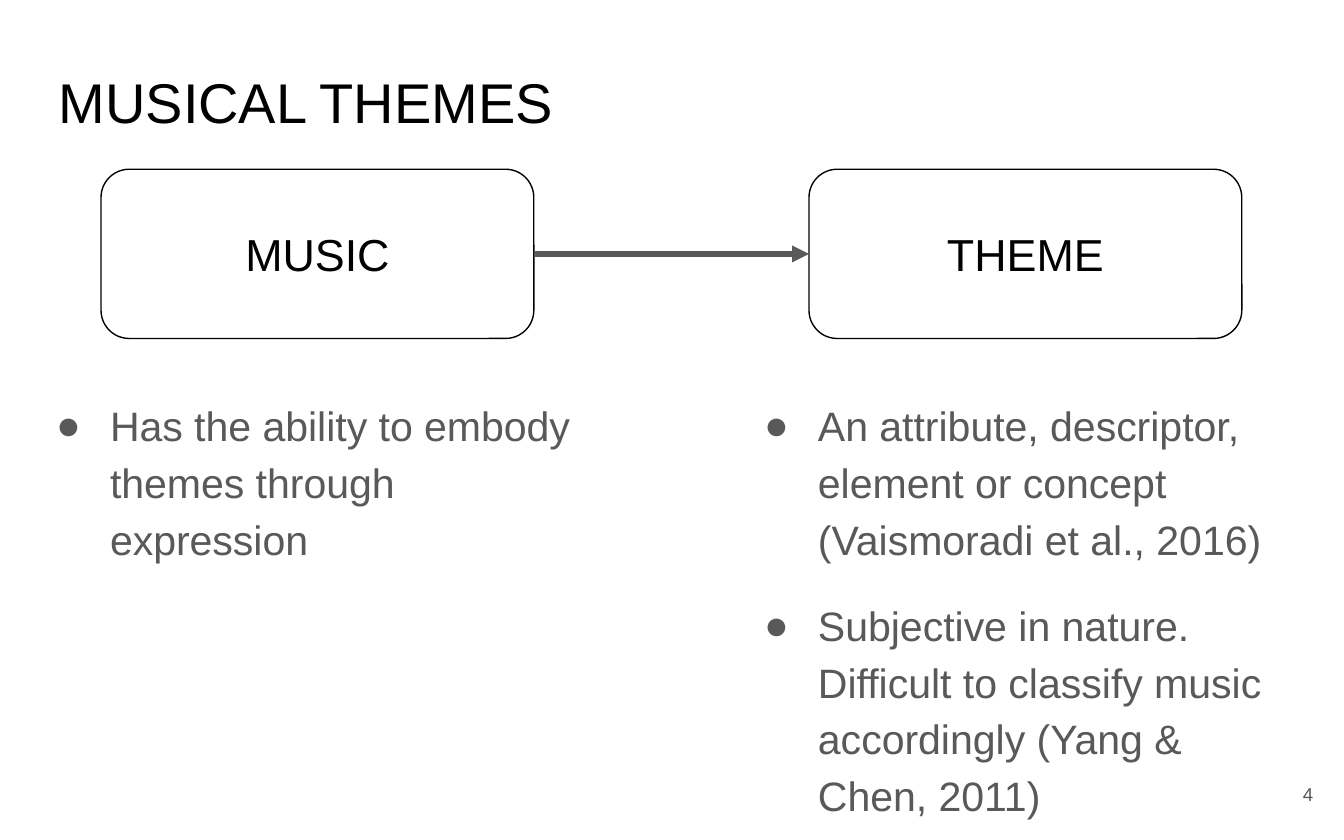
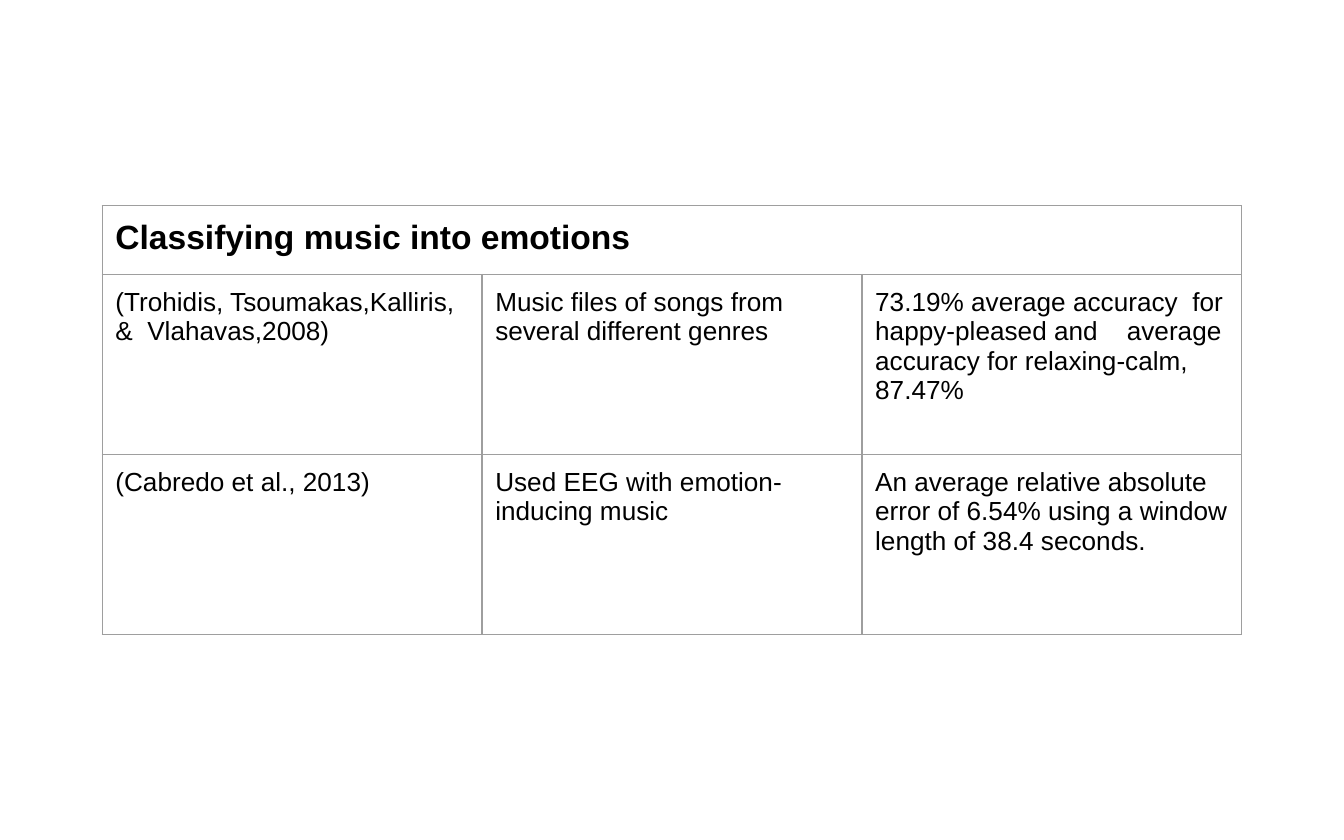
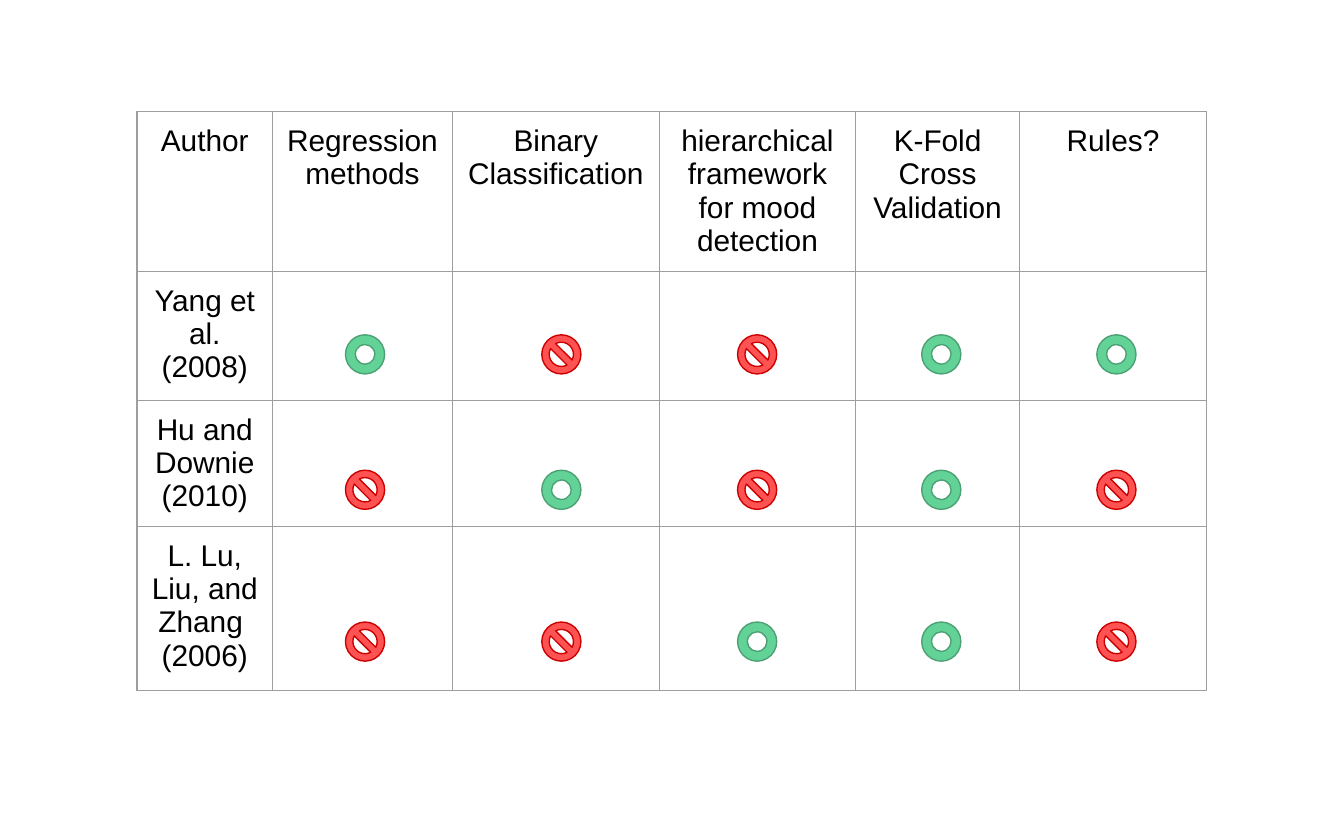
from lxml import etree
from pptx import Presentation
from pptx.dml.color import RGBColor
from pptx.enum.shapes import MSO_CONNECTOR, MSO_SHAPE
from pptx.enum.text import MSO_ANCHOR, MSO_AUTO_SIZE, PP_ALIGN
from pptx.oxml.ns import qn
from pptx.util import Cm, Pt

BLACK = RGBColor(0x00, 0x00, 0x00)
GREY = RGBColor(0x59, 0x59, 0x59)
GRID = RGBColor(0x9E, 0x9E, 0x9E)
GREEN = RGBColor(0x63, 0xD2, 0x97)
DARK_GREEN = RGBColor(0x4B, 0xA1, 0x73)
RED = RGBColor(0xFF, 0x52, 0x52)
DARK_RED = RGBColor(0xCC, 0x00, 0x00)

FONT = "Arial"
INSET = Cm(0.25)
THIN = Pt(0.75)
LEFT, CENTER, RIGHT = PP_ALIGN.LEFT, PP_ALIGN.CENTER, PP_ALIGN.RIGHT
TOP, MIDDLE = MSO_ANCHOR.TOP, MSO_ANCHOR.MIDDLE
TITLE_ONLY, BLANK = 5, 6
LEFT_SIDE, RIGHT_SIDE = 1, 3

YES = (MSO_SHAPE.DONUT, 0.25, GREEN, DARK_GREEN)
NO = (MSO_SHAPE.NO_SYMBOL, 0.19, RED, DARK_RED)
MARK_SIZE = Cm(0.74)

EMOTION_STUDIES = [
    ["Classifying music into emotions", "", ""],
    ["(Trohidis, Tsoumakas,Kalliris,  &  Vlahavas,2008)",
     "Music files of songs from several different genres",
     "73.19% average accuracy  for happy-pleased and    average accuracy "
     "for relaxing-calm, 87.47%"],
    ["(Cabredo et al., 2013)",
     "Used EEG with emotion-inducing music",
     "An average relative absolute error of 6.54% using a window length "
     "of 38.4 seconds."],
]

METHODS = ["Author", "Regression methods", "Binary Classification",
           "hierarchical framework for mood detection",
           "K-Fold Cross Validation", "Rules?"]
METHODS_BY_AUTHOR = {
    "Yang et al. (2008)": (YES, NO, NO, YES, YES),
    "Hu and Downie (2010)": (NO, YES, NO, YES, NO),
    "L. Lu, Liu, and Zhang  (2006)": (NO, NO, YES, YES, NO),
}


def set_margins(target):
    target.margin_left = target.margin_right = INSET
    target.margin_top = target.margin_bottom = INSET


def write(frame, texts, size, color=BLACK, align=LEFT, anchor=TOP):
    """Fill a text frame with one paragraph for each text."""
    set_margins(frame)
    frame.word_wrap = True
    frame.auto_size = MSO_AUTO_SIZE.NONE
    frame.vertical_anchor = anchor
    for index, text in enumerate(texts):
        para = frame.paragraphs[0] if index == 0 else frame.add_paragraph()
        para.text = text
        style(para, size, color, align)


def style(para, size, color=BLACK, align=LEFT, bold=False):
    para.alignment = align
    para.font.name = FONT
    para.font.size = Pt(size)
    para.font.color.rgb = color
    para.font.bold = bold


def add_bullet(para):
    properties = para._p.get_or_add_pPr()
    properties.set("marL", str(Cm(1.27)))
    properties.set("indent", str(-Cm(1.02)))
    bullet_color = etree.SubElement(properties, qn("a:buClr"))
    etree.SubElement(bullet_color, qn("a:srgbClr"), val=str(GREY))
    etree.SubElement(properties, qn("a:buFont"), typeface=FONT)
    etree.SubElement(properties, qn("a:buChar"), char="●")


def add_title(page, text):
    title = page.shapes.title
    title.left, title.top = Cm(0.86), Cm(1.02)
    title.width, title.height = Cm(23.67), Cm(1.78)
    write(title.text_frame, [text], 30)


def add_page_number(page, number):
    box = page.shapes.add_textbox(Cm(23.55), Cm(14.4), Cm(1.52), Cm(1.22))
    write(box.text_frame, [str(number)], 10, GREY, RIGHT, MIDDLE)


def add_topic(page, left, top, name, points):
    """Place a rounded name box above its bullet points; return the name box."""
    box = page.shapes.add_shape(MSO_SHAPE.ROUNDED_RECTANGLE,
                                left + Cm(1.35), top, Cm(8.18), Cm(3.2))
    box.shadow.inherit = False
    box.fill.background()
    box.line.color.rgb = BLACK
    box.line.width = THIN
    write(box.text_frame, [name], 24, align=CENTER, anchor=MIDDLE)

    body = page.shapes.add_textbox(left, top + Cm(3.99), Cm(10.9), Cm(7.37))
    write(body.text_frame, points, 22, GREY)
    for index, para in enumerate(body.text_frame.paragraphs):
        para.line_spacing = 1.15
        para.space_before = Pt(16 if index else 0)
        add_bullet(para)
    return box


def add_arrow(page, start, end):
    arrow = page.shapes.add_connector(MSO_CONNECTOR.STRAIGHT, 0, 0, 0, 0)
    arrow.begin_connect(start, RIGHT_SIDE)
    arrow.end_connect(end, LEFT_SIDE)
    arrow.line.color.rgb = GREY
    arrow.line.width = Pt(3)
    etree.SubElement(arrow.line._get_or_add_ln(), qn("a:tailEnd"), type="triangle")
    etree.SubElement(arrow._element.spPr, qn("a:effectLst"))


def add_borders(cell):
    properties = cell._tc.get_or_add_tcPr()
    for index, side in enumerate(("lnL", "lnR", "lnT", "lnB")):
        line = etree.Element(qn(f"a:{side}"), w=str(THIN))
        fill = etree.SubElement(line, qn("a:solidFill"))
        etree.SubElement(fill, qn("a:srgbClr"), val=str(GRID))
        properties.insert(index, line)


def add_grid(page, left, top, widths, heights, rows, size, align=LEFT):
    """Add a plain ruled table, with widths and heights in centimetres."""
    table = page.shapes.add_table(len(heights), len(widths), left, top,
                                  Cm(sum(widths)), Cm(sum(heights))).table
    table.first_row = table.horz_banding = False
    for column, width in zip(table.columns, widths):
        column.width = Cm(width)
    for row, height, texts in zip(table.rows, heights, rows):
        row.height = Cm(height)
        for cell, text in zip(row.cells, texts):
            set_margins(cell)
            cell.fill.background()
            add_borders(cell)
            cell.text = text
            style(cell.text_frame.paragraphs[0], size, align=align)
    return table


def add_mark(page, left, top, kind):
    preset, thickness, fill, outline = kind
    mark = page.shapes.add_shape(preset, left, top, MARK_SIZE, MARK_SIZE)
    mark.shadow.inherit = False
    mark.adjustments[0] = thickness
    mark.fill.solid()
    mark.fill.fore_color.rgb = fill
    mark.line.color.rgb = outline
    mark.line.width = THIN


def add_themes_page(deck):
    page = deck.slides.add_slide(deck.slide_layouts[TITLE_ONLY])
    add_title(page, "MUSICAL THEMES")
    top = Cm(3.2)
    music = add_topic(page, Cm(0.56), top, "MUSIC",
                      ["Has the ability to embody themes through expression"])
    theme = add_topic(page, Cm(13.94), top, "THEME", [
        "An attribute, descriptor, element or concept (Vaismoradi et al., 2016)",
        "Subjective in nature. Difficult to classify music accordingly "
        "(Yang & Chen, 2011)"])
    add_arrow(page, music, theme)
    add_page_number(page, 4)


def add_emotions_page(deck):
    page = deck.slides.add_slide(deck.slide_layouts[BLANK])
    table = add_grid(page, Cm(1.93), Cm(3.89), [7.18] * 3, [1.3, 3.4, 3.4],
                     EMOTION_STUDIES, 14)
    heading = table.cell(0, 0)
    heading.merge(table.cell(0, 2))
    style(heading.text_frame.paragraphs[0], 18, bold=True)


def add_methods_page(deck):
    page = deck.slides.add_slide(deck.slide_layouts[BLANK])
    left, top = Cm(2.59), Cm(2.11)
    rows = [METHODS] + [[author] + [""] * 5 for author in METHODS_BY_AUTHOR]
    add_grid(page, left, top, [2.56, 3.4, 3.91, 3.71, 3.1, 3.53],
             [3.02, 2.44, 2.38, 3.1], rows, 16, CENTER)
    mark_lefts = (3.94, 7.65, 11.35, 14.83, 18.14)
    mark_tops = (4.22, 6.78, 9.65)
    for mark_top, kinds in zip(mark_tops, METHODS_BY_AUTHOR.values()):
        for mark_left, kind in zip(mark_lefts, kinds):
            add_mark(page, left + Cm(mark_left), top + Cm(mark_top), kind)


def main():
    deck = Presentation()
    deck.slide_width, deck.slide_height = Cm(25.4), Cm(15.88)
    add_themes_page(deck)
    add_emotions_page(deck)
    add_methods_page(deck)
    deck.save("out.pptx")


if __name__ == "__main__":
    main()
